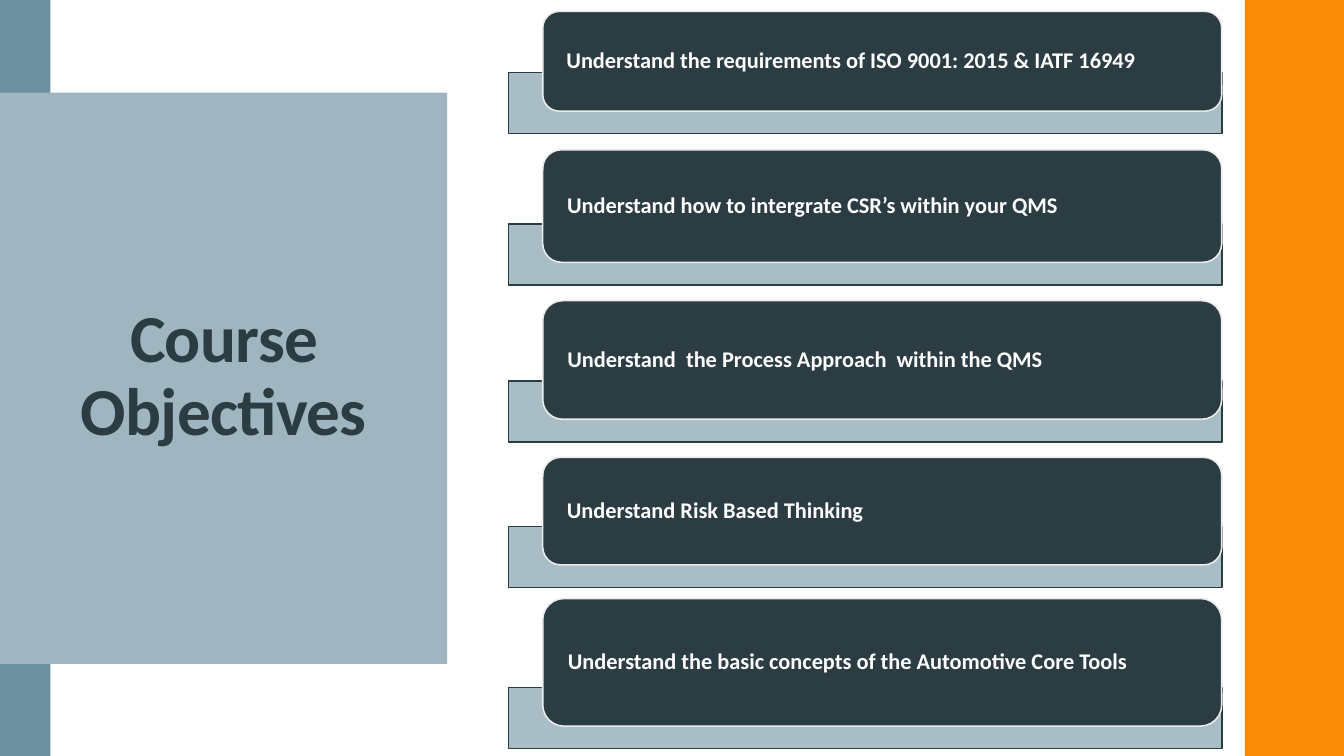
from lxml import etree
from pptx import Presentation
from pptx.dml.color import RGBColor
from pptx.enum.shapes import MSO_SHAPE
from pptx.enum.text import MSO_ANCHOR, PP_ALIGN
from pptx.oxml.ns import qn
from pptx.util import Pt

RECT, ROUND = MSO_SHAPE.RECTANGLE, MSO_SHAPE.ROUNDED_RECTANGLE
LEFT, CENTER = PP_ALIGN.LEFT, PP_ALIGN.CENTER
MIDDLE = MSO_ANCHOR.MIDDLE

TITLE = "Course Objectives"
# text, top of the bar, height of the card
OBJECTIVES = [
    ("Understand the requirements of ISO 9001: 2015 & IATF 16949", 51.9, 71.3),
    ("Understand how to intergrate CSR’s within your QMS", 159.9, 80.4),
    ("Understand  the Process Approach  within the QMS", 272, 84.7),
    ("Understand Risk Based Thinking", 376, 76.8),
    ("Understand the basic concepts of the Automotive Core Tools", 491.2, 91.2),
]

SLIDE_W, SLIDE_H = 960, 540
DARK, MIST, STEEL, ORANGE = "2C3C43", "9FB6C0", "6E91A0", "FA8C06"
WHITE, PALE = "FFFFFF", "EBEBEB"
ORANGE_X, STEEL_W = 889.2, 36
BAR_X, CARD_X, RIGHT = 363.3, 387.7, 872.7
BAR_H, OVERLAP = 43.6, 27.5


def rgb(value):
    return RGBColor.from_string(value)


def add_box(slide, kind, x, y, w, h, fill, line=None, alpha=None):
    """Add a preset shape; alpha is the fill opacity in percent."""
    sp = slide.shapes.add_shape(kind, Pt(x), Pt(y), Pt(w), Pt(h))
    sp.shadow.inherit = False
    sp.fill.solid()
    sp.fill.fore_color.rgb = rgb(fill)
    if alpha is not None:
        color = sp.fill._xPr.find(qn("a:solidFill"))[0]
        etree.SubElement(color, qn("a:alpha")).set("val", str(alpha * 1000))
    if line:
        sp.line.color.rgb = rgb(line)
        sp.line.width = Pt(1.1)
    else:
        sp.line.fill.background()
    return sp


def set_text(sp, text, size, color, align=LEFT, inset=(0, 0, 0, 0), tracking=0):
    """Write one bold paragraph; inset is left, top, right, bottom."""
    tf = sp.text_frame
    tf.word_wrap = True
    tf.vertical_anchor = MIDDLE
    tf.margin_left, tf.margin_top, tf.margin_right, tf.margin_bottom = map(Pt, inset)
    p = tf.paragraphs[0]
    p.alignment = align
    p.line_spacing = 0.9
    r = p.add_run()
    r.text = text
    r.font.name = "Calibri"
    r.font.size = Pt(size)
    r.font.bold = True
    r.font.color.rgb = rgb(color)
    if tracking:
        r.font._element.set("spc", str(round(tracking * 100)))


def main():
    prs = Presentation()
    prs.slide_width, prs.slide_height = Pt(SLIDE_W), Pt(SLIDE_H)
    slide = prs.slides.add_slide(prs.slide_layouts[6])

    add_box(slide, RECT, ORANGE_X, 0, SLIDE_W - ORANGE_X, SLIDE_H, ORANGE)
    add_box(slide, RECT, 0, 0, STEEL_W, SLIDE_H, STEEL)

    for text, bar_y, card_h in OBJECTIVES:
        add_box(slide, RECT, BAR_X, bar_y, RIGHT - BAR_X, BAR_H, MIST, DARK, alpha=90)
        card = add_box(slide, ROUND, CARD_X, bar_y + OVERLAP - card_h,
                       RIGHT - CARD_X, card_h, DARK, PALE)
        # the rounded corner already insets the text by about 4 points
        set_text(card, text, 16, WHITE, inset=(13.5, 0, 13.5, 0))

    title = add_box(slide, RECT, 0, 66.2, 319.5, 408, MIST)
    set_text(title, TITLE, 48, DARK, CENTER, inset=(7.2, 2.2, 7.2, 3.6), tracking=-0.5)

    prs.save("out.pptx")


if __name__ == "__main__":
    main()
